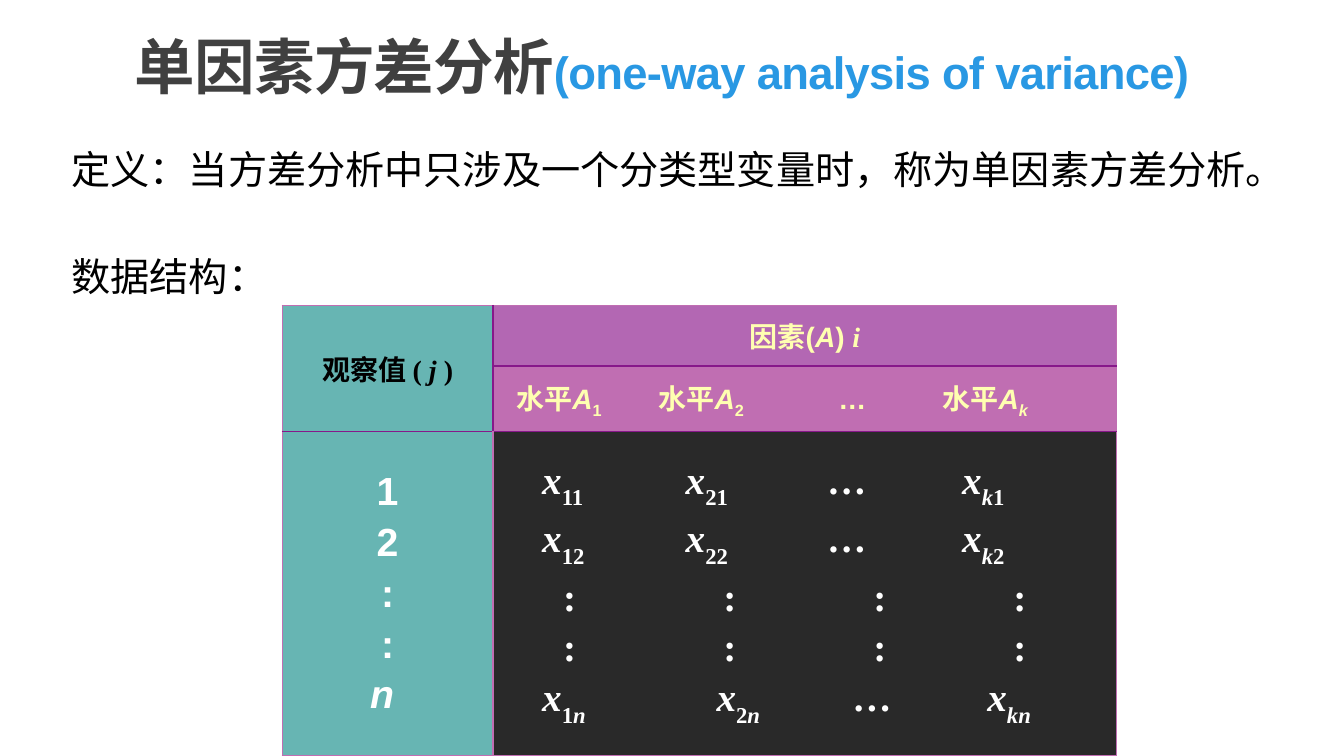
import pptx
import pptx.util
import pptx.enum.text
import pptx.dml.color
import pptx.oxml
from dataclasses import dataclass, replace

Pt = pptx.util.Pt
ALIGN = pptx.enum.text.PP_ALIGN
ANCHOR = pptx.enum.text.MSO_ANCHOR
NS = 'xmlns:a="http://schemas.openxmlformats.org/drawingml/2006/main"'
HAN, SANS, SERIF = "Noto Sans CJK SC", "Arial", "Times New Roman"
HEX = {
    "black": "000000", "grey": "404040", "blue": "2998E3", "teal": "67B5B3",
    "violet": "B367B3", "pink": "C06EB2", "plum": "87188A", "dark": "292929",
    "cream": "FFFFB1", "white": "FFFFFF",
}


@dataclass(frozen=True)
class Bit:
    """One run of text; base is a baseline shift in percent."""
    text: str
    face: str = SANS
    size: float = 28
    color: str = "white"
    bold: bool = True
    slant: bool = False
    base: int = 0
    space: float = 0


@dataclass(frozen=True)
class Line:
    bits: list[Bit]
    align: ALIGN = ALIGN.LEFT
    tabs: tuple[float, ...] = ()
    before: float = 0
    pitch: float = 1


@dataclass(frozen=True)
class Box:
    left: float
    top: float
    width: float
    height: float
    line: Line
    anchor: ANCHOR = ANCHOR.TOP


@dataclass(frozen=True)
class Cell:
    row: int
    col: int
    fill: str
    edges: tuple[str, str, str, str]  # left, right, top, bottom
    lines: list[Line]


def add_run(para, bit: Bit) -> None:
    run = para.add_run()
    run.text = bit.text
    font = run.font
    font.name, font.size = bit.face, Pt(bit.size)
    font.bold, font.italic = bit.bold, bit.slant
    font.color.rgb = pptx.dml.color.RGBColor.from_string(HEX[bit.color])
    props = run._r.get_or_add_rPr()
    if bit.base:
        props.set("baseline", str(bit.base * 1000))
    if bit.space:
        props.set("spc", str(int(bit.space * 100)))
    props.append(pptx.oxml.parse_xml(f'<a:ea {NS} typeface="{HAN}"/>'))


def fill_text(frame, lines: list[Line]) -> None:
    for num, line in enumerate(lines):
        para = frame.add_paragraph() if num else frame.paragraphs[0]
        para.alignment = line.align
        para.line_spacing = line.pitch
        para.space_before = Pt(line.before)
        if line.tabs:
            stops = "".join(f'<a:tab pos="{Pt(pos)}" algn="l"/>' for pos in line.tabs)
            para._p.get_or_add_pPr().append(
                pptx.oxml.parse_xml(f"<a:tabLst {NS}>{stops}</a:tabLst>"))
        for bit in line.bits:
            add_run(para, bit)


def add_box(slide, box: Box) -> None:
    shape = slide.shapes.add_textbox(
        Pt(box.left), Pt(box.top), Pt(box.width), Pt(box.height))
    frame = shape.text_frame
    frame.word_wrap = True
    frame.margin_right = 0
    frame.vertical_anchor = box.anchor
    fill_text(frame, [box.line])


def draw_cell(table, spec: Cell) -> None:
    cell = table.cell(spec.row, spec.col)
    cell.vertical_anchor = ANCHOR.MIDDLE
    props = cell._tc.get_or_add_tcPr()
    for side, color in zip("LRTB", spec.edges):
        props.append(pptx.oxml.parse_xml(
            f'<a:ln{side} {NS} w="{Pt(1)}"><a:solidFill>'
            f'<a:srgbClr val="{HEX[color]}"/></a:solidFill></a:ln{side}>'))
    cell.fill.solid()
    cell.fill.fore_color.rgb = pptx.dml.color.RGBColor.from_string(HEX[spec.fill])
    fill_text(cell.text_frame, spec.lines)


def head_line() -> Line:
    bits: list[Bit] = []
    level = Bit("\t水平", size=20, color="cream")
    for sub in ("1", "2", "…", "k"):
        if sub == "…":
            bits.append(replace(level, text="\t…"))
        else:
            bits += [level, replace(level, text="A", slant=True),
                     replace(level, text=sub, slant=sub == "k", base=-25)]
    return Line(bits, tabs=(9.5, 111, 239.5, 314), before=4)


def data_line(sub: str, tabs: tuple[float, ...]) -> Line:
    """Row of x values whose second index is sub."""
    bits: list[Bit] = []
    for lead in ("1", "2", "…", "k"):
        if lead == "…":
            bits.append(Bit("\t…", SERIF))
            continue
        bits.append(Bit("\tx", SERIF, slant=True))
        bits += [Bit(mark, SERIF, slant=mark.isalpha(), base=-30)
                 for mark in (lead, sub)]
    return Line(bits, tabs=tabs, before=5)


def main() -> None:
    deck = pptx.Presentation()
    deck.slide_width, deck.slide_height = Pt(960), Pt(540)
    slide = deck.slides.add_slide(deck.slide_layouts[6])

    title = Line([
        Bit("单因素方差分析", size=43.2, color="grey", space=-0.5),
        Bit("(one-way analysis of variance)", size=32.4, color="blue", space=-0.5),
    ], pitch=0.85)
    add_box(slide, Box(89.3, -26.6, 781, 103, title, ANCHOR.BOTTOM))

    shape = slide.shapes.add_table(3, 2, Pt(201.6), Pt(218.2), Pt(596.2), Pt(321.8))
    table = shape.table
    for col, width in zip(table.columns, (150.5, 445.7)):
        col.width = Pt(width)
    for row, height in zip(table.rows, (43.2, 46.8, 231.8)):
        row.height = Pt(height)
    table.cell(0, 0).merge(table.cell(1, 0))

    label = Bit("观察值 ", HAN, 20, "black")
    side = Line([label, replace(label, text="( ", face=SERIF),
                 replace(label, text="j ", face=SERIF, slant=True),
                 replace(label, text=")", face=SERIF)], ALIGN.CENTER, before=4)
    name = Bit("因素(", size=20, color="cream")
    factor = Line([name, replace(name, text="A", slant=True),
                   replace(name, text=") "),
                   replace(name, text="i", face=SERIF, slant=True)],
                  ALIGN.CENTER, before=4)
    index = [Line([Bit(mark, slant=mark == "n ")], ALIGN.CENTER, before=5)
             for mark in ("1", "2", ":", ":", "n ")]
    dots = Line([Bit("\t:" * 4, SERIF)], tabs=(43, 157.5, 264.5, 364.5), before=5)
    near, far = (28, 130.5, 231.5, 328), (28, 152.5, 249.5, 346)
    values = [data_line("1", near), data_line("2", near), dots, dots,
              data_line("n", far)]

    for spec in (
        Cell(0, 0, "teal", ("pink", "plum", "pink", "plum"), [side]),
        Cell(0, 1, "violet", ("plum", "pink", "pink", "plum"), [factor]),
        Cell(1, 1, "pink", ("plum", "pink", "plum", "plum"), [head_line()]),
        Cell(2, 0, "teal", ("pink", "pink", "plum", "pink"), index),
        Cell(2, 1, "dark", ("pink", "pink", "plum", "pink"), values),
    ):
        draw_cell(table, spec)

    for top, width, words in (
        (100, 878, "定义：当方差分析中只涉及一个分类型变量时，称为单因素方差分析。"),
        (177, 166, "数据结构："),
    ):
        line = Line([Bit(words, "Calibri", color="black", bold=False)])
        add_box(slide, Box(44, top, width, 41, line))

    deck.save("out.pptx")


if __name__ == "__main__":
    main()
